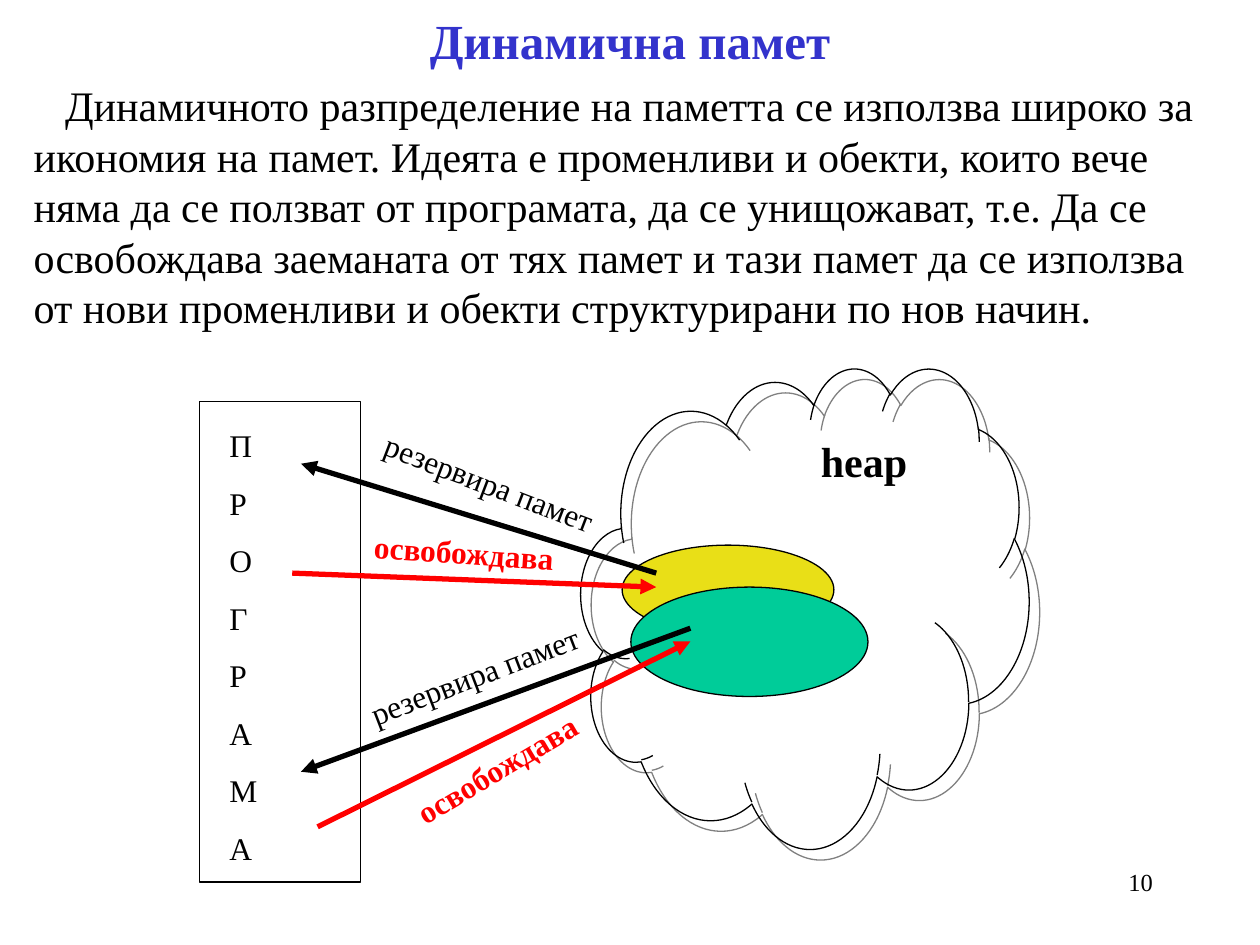
from pptx import Presentation
from pptx.dml.color import RGBColor
from pptx.enum.shapes import MSO_CONNECTOR, MSO_SHAPE
from pptx.enum.text import MSO_ANCHOR, MSO_AUTO_SIZE, PP_ALIGN
from pptx.oxml import parse_xml
from pptx.oxml.ns import nsdecls, qn
from pptx.util import Pt

STRAIGHT = MSO_CONNECTOR.STRAIGHT
RECTANGLE, CLOUD, OVAL = MSO_SHAPE.RECTANGLE, MSO_SHAPE.CLOUD, MSO_SHAPE.OVAL
TOP, MIDDLE = MSO_ANCHOR.TOP, MSO_ANCHOR.MIDDLE
NO_AUTOFIT = MSO_AUTO_SIZE.NONE
LEFT, CENTER, RIGHT = PP_ALIGN.LEFT, PP_ALIGN.CENTER, PP_ALIGN.RIGHT

FONT = "Times New Roman"
BLACK, RED, BLUE = "000000", "FF0000", "3333CC"
YELLOW, GREEN, GRAY = "E9DF17", "00CC99", "808080"

EXPLANATION = (
    "Динамичното разпределение на паметта се използва широко за "
    "икономия на памет. Идеята е променливи и обекти, които вече няма да се "
    "ползват от програмата, да се унищожават, т.е. Да се освобождава "
    "заеманата от тях памет и тази памет да се използва от нови променливи "
    "и обекти структурирани по нов начин."
)
RESERVE, RELEASE = "резервира памет", "освобождава"

ARROWS = [
    ((375, 327.5), (172, 265), BLACK),
    ((167, 327.5), (375, 335.5), RED),
    ((394.5, 359), (172, 441), BLACK),
    ((181.5, 472.5), (394.5, 366.5), RED),
]
ARROW_LABELS = [
    (RELEASE, (225.5, 425.5, 129.5, 24.5), 329.3),
    (RELEASE, (206.5, 305.5, 126, 24.5), 3.9),
    (RESERVE, (209, 265, 159, 29), 21.1),
    (RESERVE, (201, 370, 147.5, 29), 339),
]


def rgb(color):
    return RGBColor.from_string(color)


def points(values):
    return [Pt(value) for value in values]


def set_values(target, values):
    for name, value in values.items():
        setattr(target, name, value)


def write_lines(frame, lines, size, color=BLACK, bold=False, align=LEFT,
                anchor=TOP, spacing=1.0, gap=0):
    set_values(frame, {"word_wrap": True, "auto_size": NO_AUTOFIT,
                       "vertical_anchor": anchor})
    for index, line in enumerate(lines):
        paragraph = frame.add_paragraph() if index else frame.paragraphs[0]
        paragraph.text = line
        set_values(paragraph, {"alignment": align, "line_spacing": spacing,
                               "space_before": Pt(gap if index else 0)})
        set_values(paragraph.font,
                   {"name": FONT, "size": Pt(size), "bold": bold})
        paragraph.font.color.rgb = rgb(color)


def fill_placeholder(placeholder, box, text, **style):
    set_values(placeholder,
               dict(zip(("left", "top", "width", "height"), points(box))))
    write_lines(placeholder.text_frame, [text], **style)


def add_label(slide, box, lines, rotation=0, **style):
    label = slide.shapes.add_textbox(*points(box))
    label.rotation = rotation
    write_lines(label.text_frame, lines, **style)


def add_outline(slide, kind, box, fill=None):
    outline = slide.shapes.add_shape(kind, *points(box))
    outline.shadow.inherit = False
    if fill:
        outline.fill.solid()
        outline.fill.fore_color.rgb = rgb(fill)
    else:
        outline.fill.background()
    outline.line.color.rgb = rgb(BLACK)
    outline.line.width = Pt(0.75)
    return outline


def cast_shadow(outline, distance, angle):
    effects = outline._element.spPr.find(qn("a:effectLst"))
    effects.append(parse_xml(
        f'<a:outerShdw {nsdecls("a")} blurRad="0" dist="{Pt(distance)}" '
        f'dir="{angle * 60000}" algn="ctr" rotWithShape="0">'
        f'<a:srgbClr val="{GRAY}"/></a:outerShdw>'))


def add_arrow(slide, start, end, color):
    arrow = slide.shapes.add_connector(STRAIGHT, *points(start + end))
    arrow.line.color.rgb = rgb(color)
    arrow.line.width = Pt(3)
    properties = arrow._element.spPr
    properties.find(qn("a:ln")).append(
        parse_xml(f'<a:tailEnd {nsdecls("a")} type="triangle"/>'))
    properties.append(parse_xml(f'<a:effectLst {nsdecls("a")}/>'))


def write_explanation(body):
    settings = body.text_frame.paragraphs[0]._p.get_or_add_pPr()
    settings.set("marL", "0")
    settings.set("indent", str(Pt(18)))
    settings.append(parse_xml(f'<a:buNone {nsdecls("a")}/>'))
    fill_placeholder(body, (12, 42, 696, 151), EXPLANATION, size=24)


def main():
    presentation = Presentation()
    set_values(presentation,
               {"slide_width": Pt(720), "slide_height": Pt(540)})
    slide = presentation.slides.add_slide(presentation.slide_layouts[1])

    fill_placeholder(slide.shapes.title, (54, 2, 612, 42), "Динамична памет",
                     size=28, color=BLUE, bold=True, align=CENTER,
                     anchor=MIDDLE)
    write_explanation(slide.placeholders[1])

    add_outline(slide, RECTANGLE, (114, 229.5, 92, 274.5))
    add_label(slide, (124, 240, 30, 259), "ПРОГРАМА", size=18, gap=11.25)

    heap = add_outline(slide, CLOUD, (332, 210, 256, 274.5))
    cast_shadow(heap, distance=8.5, angle=45)
    add_outline(slide, OVAL, (355.5, 311.5, 121, 51), YELLOW)
    add_outline(slide, OVAL, (360.5, 335.5, 135.5, 62.5), GREEN)

    for start, end, color in ARROWS:
        add_arrow(slide, start, end, color)
    for text, box, rotation in ARROW_LABELS:
        release = text == RELEASE
        add_label(slide, box, [text], rotation, size=18, bold=release,
                  color=RED if release else BLACK,
                  spacing=0.8 if release else 1.0)

    add_label(slide, (462, 245.5, 73, 36), ["heap"], size=24, bold=True)
    add_label(slide, (516, 492, 150, 36), ["10"], size=14, align=RIGHT)
    presentation.save("out.pptx")


if __name__ == "__main__":
    main()
